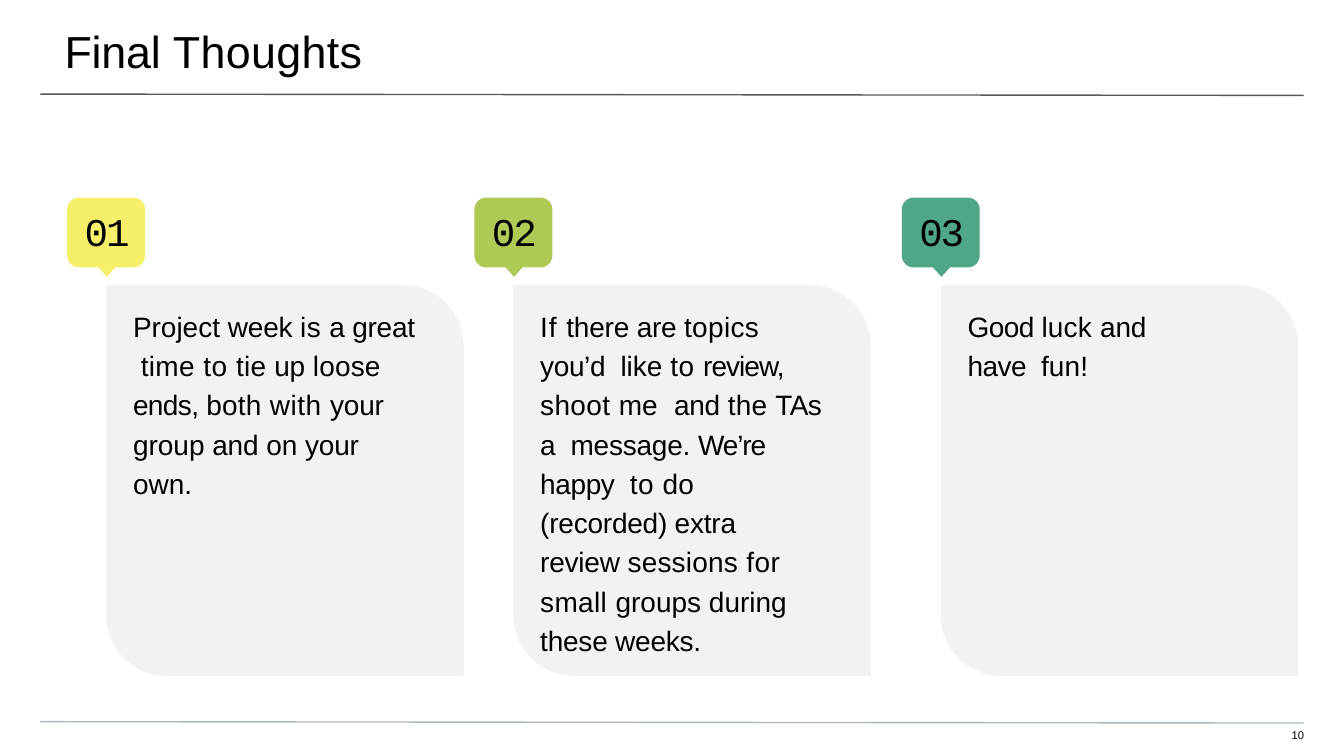
import pptx
import pptx.util
import pptx.dml.color
import pptx.enum.shapes
import pptx.enum.text
import lxml.etree

Inches = pptx.util.Inches
Pt = pptx.util.Pt
Kind = pptx.enum.shapes.MSO_SHAPE


def tint(hue):
    return pptx.dml.color.RGBColor.from_string(hue)


def write(box, runs, font, size, inset=0.01, right=0, lead=None):
    frame = box.text_frame
    frame.word_wrap = True
    frame.auto_size = pptx.enum.text.MSO_AUTO_SIZE.NONE
    frame.vertical_anchor = pptx.enum.text.MSO_ANCHOR.TOP
    frame.margin_left = Inches(inset)
    frame.margin_top = Inches(0.01)
    frame.margin_right = Inches(right)
    frame.margin_bottom = 0
    para = frame.paragraphs[0]
    para.alignment = pptx.enum.text.PP_ALIGN.LEFT
    para.space_before = Pt(1)
    if lead:
        para.line_spacing = lead
    for words, space in runs:
        run = para.add_run()
        run.text = words
        run.font.name = font
        run.font.size = Pt(size)
        run.font.color.rgb = tint("000000")
        run.font._element.set("spc", str(round(space * 100)))


deck = pptx.Presentation()
deck.slide_width = Inches(10)
deck.slide_height = Inches(10) * 9 // 16
slide = deck.slides.add_slide(deck.slide_layouts[5])
shapes = slide.shapes

for top, hue in [(0.7, "595959"), (5.37, "A8B6BF")]:
    rule = shapes.add_connector(
        pptx.enum.shapes.MSO_CONNECTOR.STRAIGHT,
        Inches(0.3), Inches(top), Inches(9.7), Inches(top + 0.01))
    rule.line.color.rgb = tint(hue)
    rule.line.width = Pt(0.75)
    lxml.etree.SubElement(rule._element.spPr, pptx.oxml.ns.qn("a:effectLst"))

title = shapes.title
title.left, title.top = Inches(0.47), Inches(0.17)
title.width, title.height = Inches(2.24), Inches(0.43)
write(title, [("Final ", -0.1), ("Thoughts", 0.2)], "Arial", 24)

cards = [
    (0.5, "F6EF69", 2.19, 1.19, [
        ("Project ", 0), ("week ", -0.1), ("is ", 0.2), ("a ", -0.2),
        ("great  ", -0.1), ("time ", 0.2), ("to ", 0.3), ("tie ", 0.1),
        ("up ", -0.1), ("loose  ", 0.1), ("ends, ", -0.3), ("both ", 0.1),
        ("with ", 0.3), ("your  ", -0.1), ("group ", 0), ("and ", -0.1),
        ("on ", 0), ("your ", -0.1), ("own.", 0)]),
    (3.53, "AECA54", 2.18, 2.36, [
        ("If ", 0.5), ("there ", -0.1), ("are ", -0.2), ("topics ", 0.2),
        ("you’d  ", -0.2), ("like ", 0), ("to ", 0.3), ("review, ", -0.5),
        ("shoot ", 0.2), ("me  ", 0.1), ("and ", -0.1), ("the ", 0.1),
        ("TAs ", -0.3), ("a  ", -0.2), ("message. ", -0.1), ("We’re ", -0.6),
        ("happy  ", -0.2), ("to ", 0.3), ("do ", 0.1),
        ("(recorded) extra  review ", -0.1), ("sessions ", 0.1),
        ("for  ", 0.3), ("small ", 0.2), ("groups during  ", 0),
        ("these weeks.", -0.1)]),
    (6.71, "4FA785", 1.84, 0.61, [
        ("Good ", -0.3), ("luck ", 0.1), ("and ", -0.1), ("have  ", -0.3),
        ("fun!", 0.1)]),
]

for count, (left, hue, width, height, runs) in enumerate(cards, 1):
    parts = [
        (Kind.ROUNDED_RECTANGLE, 0, 1.47, 0.58, 0.52, hue, [0.17]),
        (Kind.FLOWCHART_MERGE, 0.15, 1.9, 0.29, 0.16, hue, []),
        (Kind.ROUND_2_DIAG_RECTANGLE, 0.29, 2.12, 2.66, 2.91, "F2F2F2",
         [0, 0.17]),
    ]
    for kind, shift, top, wide, high, fill, bends in parts:
        part = shapes.add_shape(kind, Inches(left + shift), Inches(top),
                                Inches(wide), Inches(high))
        part.shadow.inherit = False
        part.fill.solid()
        part.fill.fore_color.rgb = tint(fill)
        part.line.fill.background()
        for place, bend in enumerate(bends):
            part.adjustments[place] = bend

    label = shapes.add_textbox(Inches(left + 0.12), Inches(1.53),
                               Inches(0.35), Inches(0.38))
    write(label, [(f"{count:02}", -1.1)], "Courier New", 21)
    body = shapes.add_textbox(Inches(left + 0.48), Inches(2.25),
                              Inches(width), Inches(height))
    write(body, runs, "Arial", 15, right=0.05, lead=1.17)

page = shapes.add_textbox(Inches(9.58), Inches(5.41),
                          Inches(0.15), Inches(0.12))
write(page, [("10", 0)], "Arial", 6, inset=0.03)

deck.save("out.pptx")
